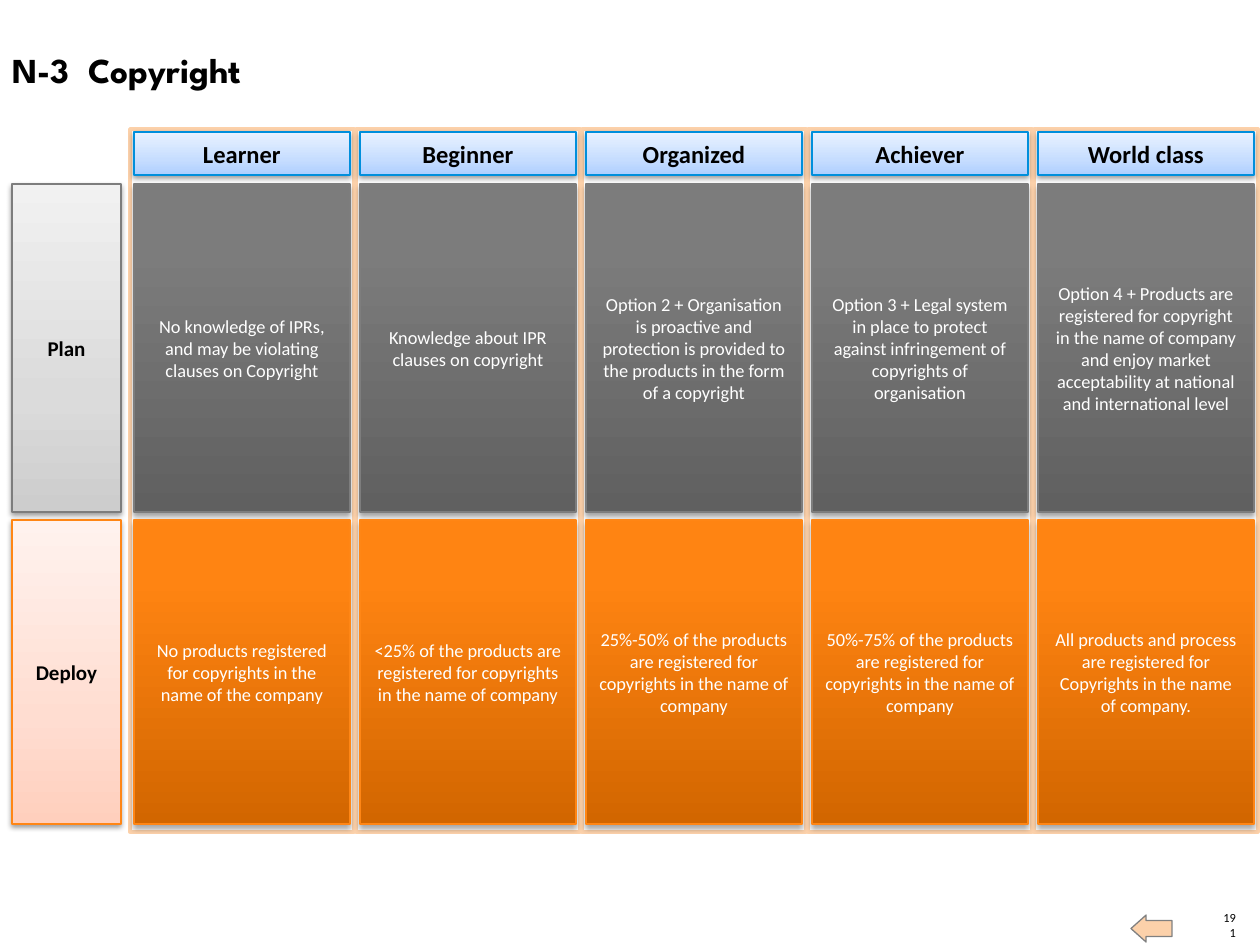
from lxml import etree
from pptx import Presentation
from pptx import util as u
from pptx.dml.color import RGBColor
from pptx.enum import shapes, text
from pptx.oxml import ns

PX = u.Inches(1) / 126

THEME = {
    "body_font": "Calibri", "title_font": "League Spartan",
    "black": "000000", "white": "FFFFFF", "peach": "FCD1AA", "grey": "808080",
    "title_size": 20, "header_size": 14, "label_size": 12, "cell_size": 10.5, "number_size": 7.1,
    # Each style: gradient stops from the bottom up, line, shadow (opacity %, distance pt)
    "header": ([(0, "AECFFF"), (35, "C6DDFF"), (100, "E9F2FF")], "008FDC", (38, 1.6)),
    "plan_label": ([(0, "CDCDCD"), (35, "DBDBDB"), (100, "F1F1F1")], "7D7D7D", (38, 1.6)),
    "deploy_label": ([(0, "FFCFBD"), (35, "FFDDD1"), (100, "FFF2EE")], "FF8615", (38, 1.6)),
    "plan": ([(0, "606060"), (80, "7C7C7C"), (100, "7D7D7D")], "7D7D7D", (35, 1.8)),
    "deploy": ([(0, "D26600"), (80, "FF8412"), (100, "FF8514")], "FF8615", (35, 1.8)),
}

COLUMNS = [
    ("Learner",
     "No knowledge of IPRs, and may be violating clauses on Copyright",
     "No products registered for copyrights in the name of the company"),
    ("Beginner",
     "Knowledge about IPR clauses on copyright",
     "<25% of the products are registered for copyrights in the name of company"),
    ("Organized",
     "Option 2 + Organisation is proactive and protection is provided to the products "
     "in the form of a copyright",
     "25%-50% of the products are registered for copyrights in the name of company"),
    ("Achiever",
     "Option 3 + Legal system in place to protect against infringement of copyrights "
     "of organisation",
     "50%-75% of the products are registered for copyrights in the name of company"),
    ("World class",
     "Option 4 + Products are registered for copyright in the name of company and enjoy "
     "market acceptability at national and international level",
     "All products and process are registered for Copyrights in the name of company."),
]

# Grid, in px
LABEL_LEFT, LABEL_WIDTH = 12, 109
CELL_LEFT, CELL_WIDTH, PITCH = 134, 216, 226
FRAME_LEFT, FRAME_TOP, FRAME_WIDTH, FRAME_HEIGHT = 130, 129, 224, 703
HEADER_ROW, PLAN_ROW, DEPLOY_ROW = (132, 43), (184, 328), (520, 304)

presentation = Presentation()
presentation.slide_width, presentation.slide_height = round(1260 * PX), round(945 * PX)
slide = presentation.slides.add_slide(presentation.slide_layouts[6])


def write(shape, content, size, color, bold=False, font="body_font", align=text.PP_ALIGN.CENTER):
    frame = shape.text_frame
    frame.word_wrap = True
    frame.text = content
    paragraph = frame.paragraphs[0]
    paragraph.alignment = align
    run_font = paragraph.runs[0].font
    run_font.name, run_font.size, run_font.bold = THEME[font], u.Pt(THEME[size]), bold
    run_font.color.rgb = RGBColor.from_string(THEME[color])


def add_cell(left, width, row, style, content, size, color, bold=False):
    box = [round(value * PX) for value in (left, row[0], width, row[1])]
    shape = slide.shapes.add_shape(shapes.MSO_SHAPE.RECTANGLE, *box)
    stops, line, (opacity, distance) = THEME[style]
    # Three-stop gradient
    shape.fill.gradient()
    shape.fill.gradient_angle = 90
    stop_list = shape._element.spPr.find(".//" + ns.qn("a:gsLst"))
    for stop in list(stop_list):
        stop_list.remove(stop)
    for position, stop_color in stops:
        stop = etree.SubElement(stop_list, ns.qn("a:gs"), pos=str(position * 1000))
        etree.SubElement(stop, ns.qn("a:srgbClr"), val=stop_color)
    shape.line.color.rgb = RGBColor.from_string(line)
    shape.line.width = u.Pt(0.75)
    # Soft shadow below
    shape.shadow.inherit = False
    effects = shape._element.spPr.find(ns.qn("a:effectLst"))
    shadow = etree.SubElement(effects, ns.qn("a:outerShdw"), blurRad=str(u.Pt(3.1)),
                              dist=str(u.Pt(distance)), dir="5400000", rotWithShape="0")
    shadow_color = etree.SubElement(shadow, ns.qn("a:srgbClr"), val=THEME["black"])
    etree.SubElement(shadow_color, ns.qn("a:alpha"), val=str(opacity * 1000))
    shape.text_frame.vertical_anchor = text.MSO_ANCHOR.MIDDLE
    write(shape, content, size, color, bold)


# Page number
number = slide.shapes.add_textbox(*[round(value * PX) for value in (1221, 925, 15, 15)])
number_frame = number.text_frame
number_frame.margin_left = number_frame.margin_right = 0
number_frame.margin_top = number_frame.margin_bottom = 0
number_frame.vertical_anchor = text.MSO_ANCHOR.BOTTOM
write(number, "191", "number_size", "black", align=text.PP_ALIGN.RIGHT)

# Back arrow
arrow = slide.shapes.add_shape(shapes.MSO_SHAPE.RIGHT_ARROW,
                               *[round(value * PX) for value in (1131, 915, 41, 27)])
arrow.rotation = 180
arrow.adjustments[0], arrow.adjustments[1] = 0.59, 0.56
arrow.shadow.inherit = False
arrow.fill.solid()
arrow.fill.fore_color.rgb = RGBColor.from_string(THEME["peach"])
arrow.line.color.rgb = RGBColor.from_string(THEME["grey"])
arrow.line.width = u.Pt(0.75)

# Title
title = slide.shapes.add_textbox(*[round(value * PX) for value in (0, 42, 1084, 55)])
write(title, "N-3  Copyright", "title_size", "black", True, "title_font", text.PP_ALIGN.LEFT)

# Row labels
add_cell(LABEL_LEFT, LABEL_WIDTH, PLAN_ROW, "plan_label", "Plan", "label_size", "black", True)
add_cell(LABEL_LEFT, LABEL_WIDTH, DEPLOY_ROW, "deploy_label", "Deploy", "label_size", "black", True)

# Column frames
for index in range(len(COLUMNS)):
    box = (FRAME_LEFT + index * PITCH, FRAME_TOP, FRAME_WIDTH, FRAME_HEIGHT)
    column_frame = slide.shapes.add_shape(shapes.MSO_SHAPE.RECTANGLE,
                                          *[round(value * PX) for value in box])
    column_frame.shadow.inherit = False
    column_frame.fill.solid()
    column_frame.fill.fore_color.rgb = RGBColor.from_string(THEME["white"])
    column_frame.line.color.rgb = RGBColor.from_string(THEME["peach"])
    column_frame.line.width = u.Pt(2)

# Column headers and cells
for index, (header, plan, deploy) in enumerate(COLUMNS):
    left = CELL_LEFT + index * PITCH
    add_cell(left, CELL_WIDTH, PLAN_ROW, "plan", plan, "cell_size", "white")
    add_cell(left, CELL_WIDTH, DEPLOY_ROW, "deploy", deploy, "cell_size", "white")
    add_cell(left, CELL_WIDTH, HEADER_ROW, "header", header, "header_size", "black", True)

presentation.save("out.pptx")
